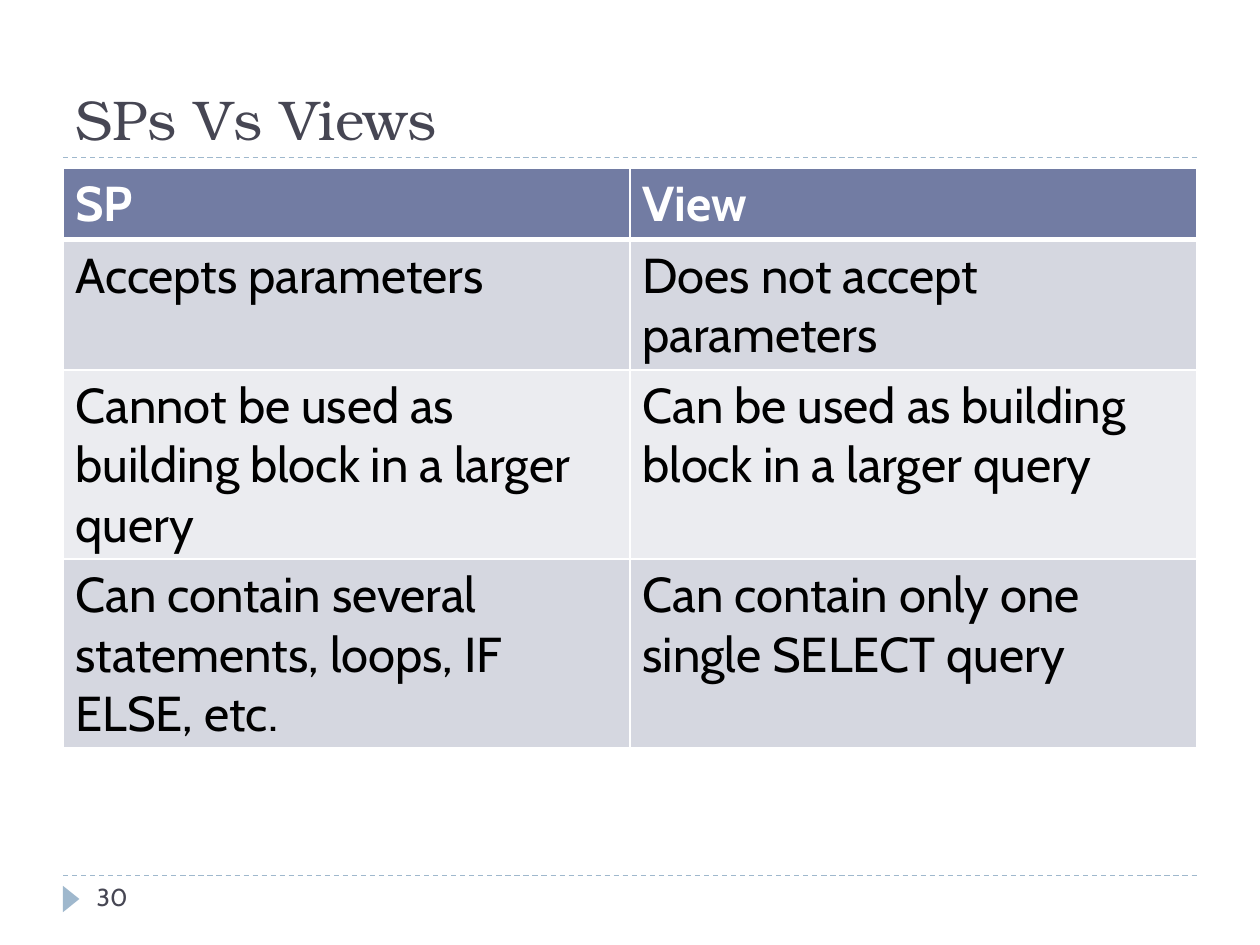
"""Build the slide that compares stored procedures with views."""
import pptx
import pptx.dml.color
import pptx.enum.dml
import pptx.enum.shapes
import pptx.enum.text
import pptx.oxml.ns
import pptx.oxml.xmlchemy
import pptx.util
from lxml import etree

Pt = pptx.util.Pt
qn = pptx.oxml.ns.qn

ROWS = [
    ("SP", "View"),
    ("Accepts parameters", "Does not accept parameters"),
    ("Cannot be used as building block in a larger query",
     "Can be used as building block in a larger query"),
    ("Can contain several statements, loops, IF ELSE, etc.",
     "Can contain only one single SELECT query"),
]


def color(value):
    return pptx.dml.color.RGBColor.from_string(value)


def write(frame, text, *, font, size, ink, bold=False):
    span = frame.paragraphs[0].add_run()
    span.text = text
    span.font.name = font
    span.font.size = Pt(size)
    span.font.bold = bold
    span.font.color.rgb = color(ink)


def fill(target, value):
    target.fill.solid()
    target.fill.fore_color.rgb = color(value)


def add_border(cell, side, position, width, value):
    properties = cell._tc.get_or_add_tcPr()
    line = etree.Element(qn(f"a:ln{side}"), w=str(Pt(width)))
    solid = etree.SubElement(line, qn("a:solidFill"))
    etree.SubElement(solid, qn("a:srgbClr"), val=value)
    properties.insert(position, line)


class SlideBuilder:
    heading_font = "TeX Gyre Bonum"
    body_font = "Cabin"
    dark = "464653"
    accent = "9FB8CD"
    white = "FFFFFF"
    header = "727CA3"
    bands = ("D5D7E0", "EBECF0")

    def __init__(self, deck):
        self.page = deck.slides.add_slide(deck.slide_layouts[6])

    def rule(self, left, right, top):
        line = self.page.shapes.add_connector(
            pptx.enum.shapes.MSO_CONNECTOR.STRAIGHT,
            Pt(left), Pt(top), Pt(right), Pt(top))
        line.line.color.rgb = color(self.accent)
        line.line.width = Pt(0.75)
        line.line.dash_style = pptx.enum.dml.MSO_LINE.DASH
        etree.SubElement(line._element.spPr, qn("a:effectLst"))

    def marker(self, left, top, width, height):
        triangle = self.page.shapes.add_shape(
            pptx.enum.shapes.MSO_SHAPE.ISOSCELES_TRIANGLE,
            Pt(left), Pt(top), Pt(width), Pt(height))
        triangle.rotation = 90
        triangle.shadow.inherit = False
        fill(triangle, self.accent)
        triangle.line.fill.background()

    def text(self, text, left, top, width, height, anchor="TOP", **style):
        box = self.page.shapes.add_textbox(
            Pt(left), Pt(top), Pt(width), Pt(height))
        box.text_frame.word_wrap = True
        box.text_frame.vertical_anchor = pptx.enum.text.MSO_ANCHOR[anchor]
        write(box.text_frame, text, ink=self.dark, **style)

    def table(self, rows, left, top, width, height, row_height):
        frame = self.page.shapes.add_table(
            len(rows), len(rows[0]), Pt(left), Pt(top), Pt(width), Pt(height))
        for index, texts in enumerate(rows):
            frame.table.rows[index].height = Pt(row_height)
            is_header = index == 0
            shade = self.header if is_header else self.bands[(index - 1) % 2]
            for column, text in enumerate(texts):
                cell = frame.table.cell(index, column)
                fill(cell, shade)
                write(cell.text_frame, text, font=self.body_font, size=28,
                      ink=self.white if is_header else "000000",
                      bold=is_header)
                widths = {"L": 1, "R": 1, "T": 3 if index == 1 else 1,
                          "B": 3 if is_header else 1}
                for position, (side, weight) in enumerate(widths.items()):
                    add_border(cell, side, position, weight, self.white)
        frame.height = Pt(height)


def main():
    deck = pptx.Presentation()
    deck.slide_width, deck.slide_height = Pt(720), Pt(540)
    slide = SlideBuilder(deck)
    for top in (500.4, 90):
        slide.rule(36, 684, top)
    slide.marker(33.1, 509, 15.1, 9.4)
    slide.text("SPs Vs Views", 36, 12.2, 648, 77.8, anchor="BOTTOM",
               font=slide.heading_font, size=32)
    slide.text("30", 48.2, 500.4, 156, 28.8, font=slide.body_font, size=14)
    slide.table(ROWS, 36, 96, 648, 297.4, row_height=29.5)
    deck.save("out.pptx")


if __name__ == "__main__":
    main()
